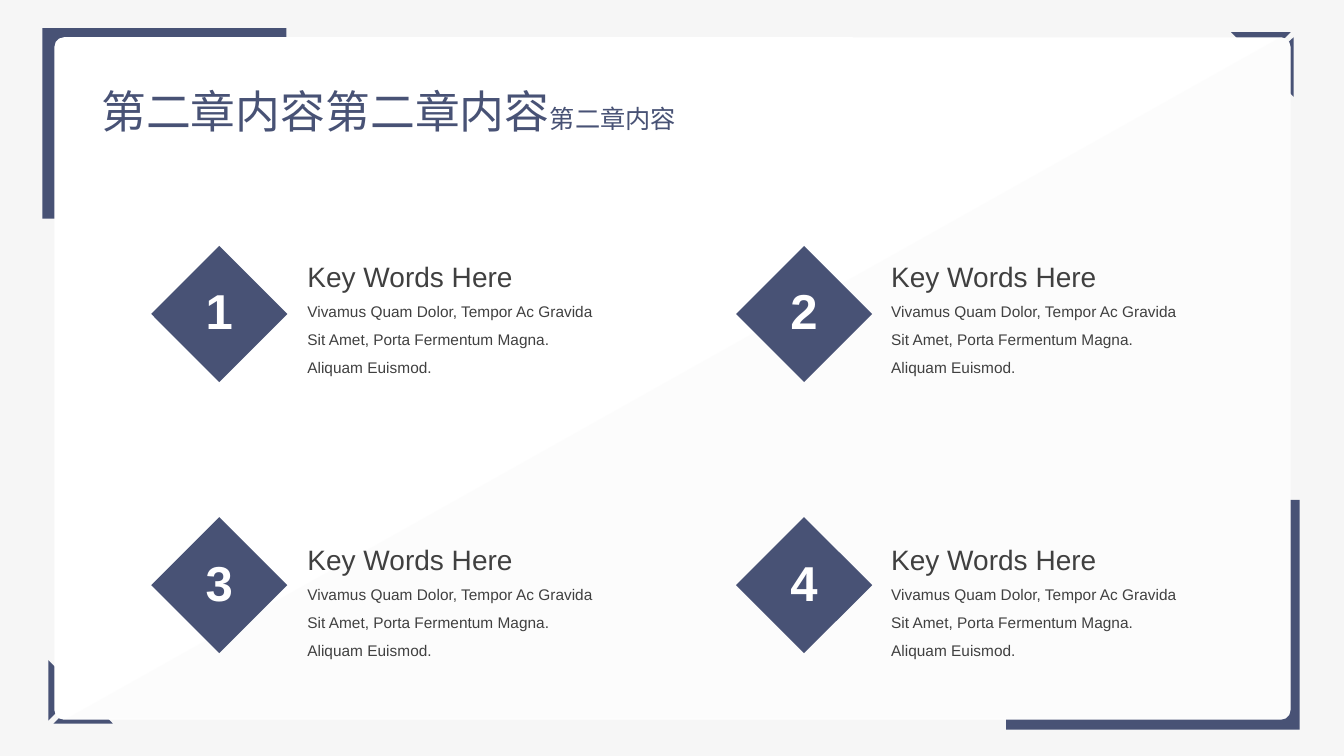
from math import cos, radians, sin

from lxml.etree import SubElement
from pptx import Presentation
from pptx.dml.color import RGBColor
from pptx.enum.shapes import MSO_SHAPE as Shape
from pptx.enum.text import MSO_ANCHOR as Anchor, MSO_AUTO_SIZE as AutoSize, PP_ALIGN as Align
from pptx.oxml.ns import qn
from pptx.util import Inches, Pt

NAVY = RGBColor(0x48, 0x52, 0x75)
WHITE = RGBColor(0xFF, 0xFF, 0xFF)
BACKDROP = RGBColor(0xF6, 0xF6, 0xF6)
SHADE = RGBColor(0xF2, 0xF2, 0xF2)
DARK_GRAY = RGBColor(0x40, 0x40, 0x40)

LATIN_FONT = "Arial"
CHINESE_FONT = "Noto Sans CJK SC"

HEADING = "Key Words Here"
BODY = ("Vivamus Quam Dolor, Tempor Ac Gravida Sit Amet, "
        "Porta Fermentum Magna. Aliquam Euismod.")

# Left edges of diamond and text per column, top edges per row
COLUMNS = [(1.5, 2.95), (7.3, 8.74)]
ROWS = [(2.44, 2.19), (5.13, 5)]
DIAMOND_SIZE = 1.35
NUMBER_WIDTH, NUMBER_HEIGHT = 0.63, 0.59

# Each small corner mark consists of two slanted strips
BOTTOM_LEFT_MARK = [
    [(0.63, 6.7), (0.63, 7), (0.48, 7.15), (0.48, 6.55)],
    [(1.12, 7.18), (0.53, 7.18), (0.68, 7.03), (0.98, 7.03)],
]
TOP_RIGHT_MARK = [
    [(12.36, 0.47), (12.65, 0.47), (12.8, 0.32), (12.21, 0.32)],
    [(12.83, 0.96), (12.83, 0.37), (12.68, 0.51), (12.68, 0.81)],
]


def paint(shape, color):
    shape.fill.solid()
    shape.fill.fore_color.rgb = color
    shape.line.fill.background()
    shape.shadow.inherit = False
    return shape


def add_block(page, kind, left, top, width, height, color):
    block = page.shapes.add_shape(
        kind, Inches(left), Inches(top), Inches(width), Inches(height))
    return paint(block, color)


def add_outline(page, contours, color):
    contours = [[(Inches(x), Inches(y)) for x, y in contour] for contour in contours]
    builder = page.shapes.build_freeform(*contours[0][0])
    for index, contour in enumerate(contours):
        if index:
            builder.move_to(*contour[0])
        builder.add_line_segments(contour[1:], close=True)
    return paint(builder.convert_to_shape(), color)


def rounded_corner(center_x, center_y, radius, start_angle):
    angles = [radians(start_angle + step) for step in range(0, 91, 10)]
    return [(center_x + radius * cos(a), center_y + radius * sin(a)) for a in angles]


def add_text_box(page, left, top, width, height, wrap=True):
    box = page.shapes.add_textbox(
        Inches(left), Inches(top), Inches(width), Inches(height))
    box.text_frame.word_wrap = wrap
    return box.text_frame


def style(font, size, color, name=LATIN_FONT, bold=False):
    font.size = Pt(size)
    font.color.rgb = color
    font.name = name
    font.bold = bold


def add_frame(page):
    # Large and small corner accents behind the card
    add_block(page, Shape.RECTANGLE, 0.42, 0.28, 2.42, 1.89, NAVY)
    add_block(page, Shape.RECTANGLE, 9.98, 4.96, 2.91, 2.28, NAVY)
    for mark in (BOTTOM_LEFT_MARK, TOP_RIGHT_MARK):
        add_outline(page, mark, NAVY)

    # White card with a translucent diagonal half
    card = add_block(page, Shape.ROUNDED_RECTANGLE, 0.54, 0.37, 12.26, 6.77, WHITE)
    card.adjustments[0] = 0.014
    corners = rounded_corner(12.7, 0.47, 0.1, -90) + rounded_corner(12.7, 7.03, 0.1, 0)
    half = add_outline(page, [corners + [(0.66, 7.13)]], SHADE)
    color = half.fill._xPr.find(qn("a:solidFill"))[0]
    SubElement(color, qn("a:alpha"), val="16000")


def add_title(page):
    frame = add_text_box(page, 0.89, 0.78, 5.93, 0.64, wrap=False)
    frame.auto_size = AutoSize.SHAPE_TO_FIT_TEXT
    para = frame.paragraphs[0]
    para.alignment = Align.CENTER
    for text, size, font_name in (("第二章内容第二章内容", 32, CHINESE_FONT),
                                  ("第二章内容", 18, LATIN_FONT)):
        span = para.add_run()
        span.text = text
        style(span.font, size, NAVY, font_name)
        SubElement(span.font._element, qn("a:ea"), typeface=CHINESE_FONT)


def add_number(page, number, left, top):
    add_block(page, Shape.DIAMOND, left, top, DIAMOND_SIZE, DIAMOND_SIZE, NAVY)
    frame = add_text_box(
        page, left + (DIAMOND_SIZE - NUMBER_WIDTH) / 2,
        top + (DIAMOND_SIZE - NUMBER_HEIGHT) / 2, NUMBER_WIDTH, NUMBER_HEIGHT)
    frame.margin_left = frame.margin_right = Inches(0.07)
    frame.margin_top = frame.margin_bottom = Inches(0.04)
    frame.vertical_anchor = Anchor.MIDDLE
    para = frame.paragraphs[0]
    para.text = str(number)
    para.alignment = Align.CENTER
    para.line_spacing = 0.9
    style(para.runs[0].font, 35, WHITE, bold=True)


def add_key_words(page, left, top):
    frame = add_text_box(page, left, top, 3.09, 1.61)
    frame.auto_size = AutoSize.SHAPE_TO_FIT_TEXT
    frame.text = f"{HEADING}\n{BODY}"
    for para, size, spacing in zip(frame.paragraphs, (20, 11), (2.0, 1.5)):
        para.line_spacing = spacing
        style(para.runs[0].font, size, DARK_GRAY)


def main():
    deck = Presentation()
    deck.slide_width, deck.slide_height = Inches(13.33), Inches(7.5)
    page = deck.slides.add_slide(deck.slide_layouts[6])
    page.background.fill.solid()
    page.background.fill.fore_color.rgb = BACKDROP

    add_frame(page)
    add_title(page)

    # Two by two grid of numbered items
    cells = [(row, column) for row in ROWS for column in COLUMNS]
    for number, (row, column) in enumerate(cells, start=1):
        diamond_top, text_top = row
        diamond_left, text_left = column
        add_number(page, number, diamond_left, diamond_top)
        add_key_words(page, text_left, text_top)

    deck.save("out.pptx")


if __name__ == "__main__":
    main()
